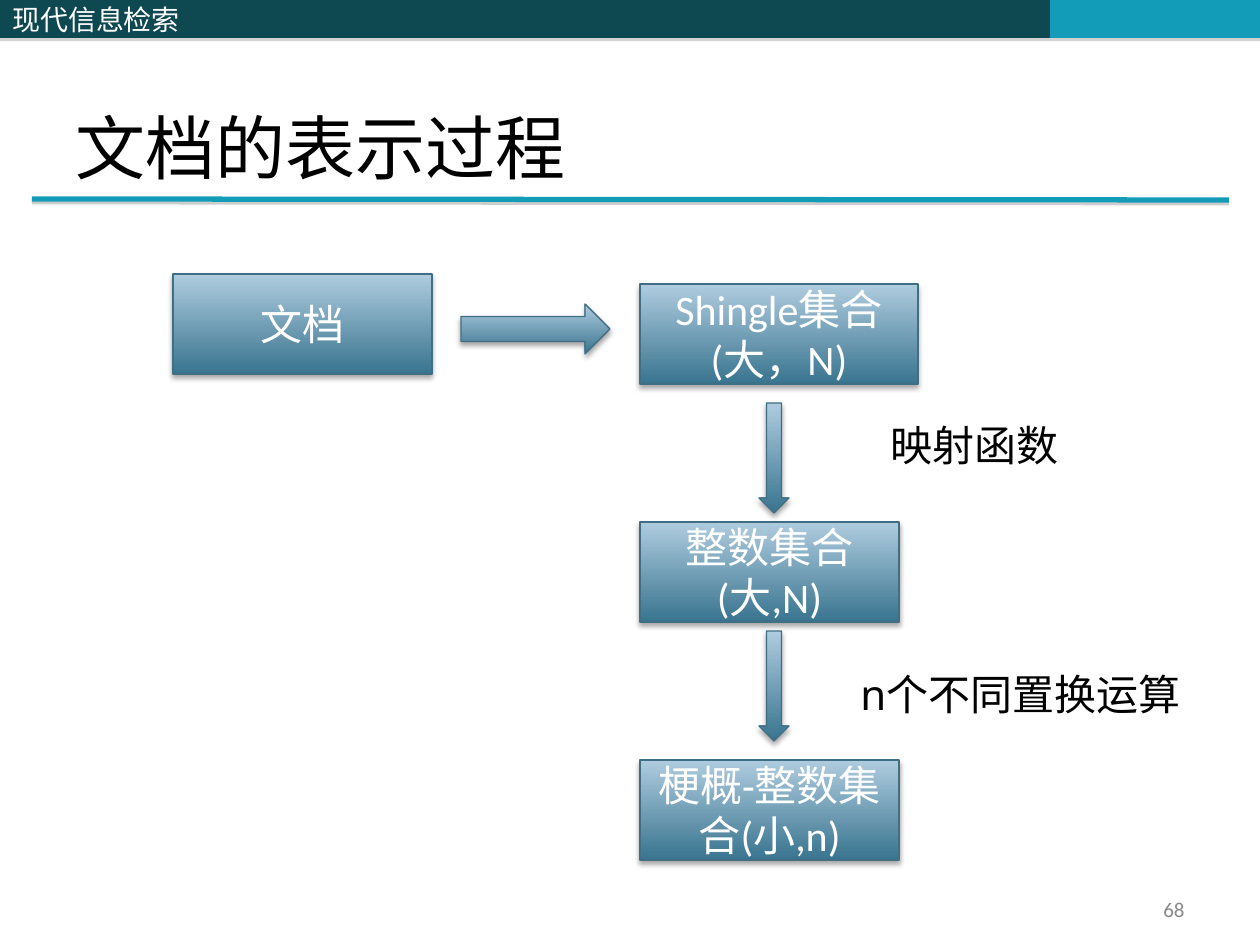
from dataclasses import dataclass

from lxml.etree import SubElement
from pptx import Presentation
from pptx.dml.color import RGBColor
from pptx.enum.shapes import MSO_CONNECTOR, MSO_SHAPE
from pptx.enum.text import MSO_ANCHOR, MSO_AUTO_SIZE, PP_ALIGN
from pptx.oxml.ns import qn
from pptx.util import Emu, Pt

SCALE = 914400 / 126
DARK, TEAL, WHITE, BLACK = "0E4851", "139CB7", "FFFFFF", "000000"
EDGE, GRADIENT = "406E84", ("39748F", "AFCCDF")


@dataclass(frozen=True)
class Area:
    left: int
    top: int
    width: int
    height: int


@dataclass(frozen=True)
class Style:
    font: str
    size: int
    color: str
    align: PP_ALIGN = PP_ALIGN.LEFT
    anchor: MSO_ANCHOR = MSO_ANCHOR.MIDDLE


@dataclass(frozen=True)
class Block:
    kind: MSO_SHAPE
    area: Area
    text: str = ""


@dataclass(frozen=True)
class Label:
    area: Area
    text: str
    style: Style


@dataclass(frozen=True)
class Shadow:
    color: str
    alpha: int
    blur: float
    distance: float


BAR_SHADOW = Shadow("808080", 35, 0, 1.8)
RULE_SHADOW = Shadow("808080", 38, 0, 1.6)
BLOCK_SHADOW = Shadow("000000", 35, 3.1, 1.8)

BLOCK_STYLE = Style("Calibri", 24, WHITE, PP_ALIGN.CENTER)
LABEL_STYLE = Style("Noto Sans", 24, BLACK, anchor=MSO_ANCHOR.TOP)
HEADER_STYLE = Style("Noto Sans CJK SC", 16, WHITE)
TITLE_STYLE = Style("Times New Roman", 40, BLACK, anchor=MSO_ANCHOR.BOTTOM)
NUMBER_STYLE = Style("Calibri", 12, "898989", PP_ALIGN.RIGHT)

BARS = (
    Block(MSO_SHAPE.RECTANGLE, Area(514, 0, 536, 38)),
    Block(MSO_SHAPE.RECTANGLE, Area(1050, 0, 210, 38)),
    Block(MSO_SHAPE.RECTANGLE, Area(0, 0, 514, 38), "现代信息检索"),
)
BAR_COLORS = (DARK, TEAL, DARK)

BLOCKS = (
    Block(MSO_SHAPE.RECTANGLE, Area(173, 274, 259, 100), "文档"),
    Block(MSO_SHAPE.RECTANGLE, Area(640, 284, 278, 100), "Shingle集合(大，N)"),
    Block(MSO_SHAPE.RIGHT_ARROW, Area(461, 304, 149, 50)),
    Block(MSO_SHAPE.RECTANGLE, Area(640, 522, 259, 100), "整数集合(大,N)"),
    Block(MSO_SHAPE.DOWN_ARROW, Area(759, 403, 30, 110)),
    Block(MSO_SHAPE.RECTANGLE, Area(640, 760, 259, 100), "梗概-整数集合(小,n)"),
    Block(MSO_SHAPE.DOWN_ARROW, Area(759, 631, 30, 110)),
)

LABELS = (
    Label(Area(903, 892, 294, 34), "68", NUMBER_STYLE),
    Label(Area(848, 662, 348, 63), "n个不同置换运算", LABEL_STYLE),
    Label(Area(878, 413, 278, 63), "映射函数", LABEL_STYLE),
)


def px(value: int) -> Emu:
    """Turn pixels into EMU."""
    return Emu(round(value * SCALE))


def place(area: Area) -> tuple[Emu, Emu, Emu, Emu]:
    """Give an area as left, top, width and height in EMU."""
    return px(area.left), px(area.top), px(area.width), px(area.height)


def rgb(color: str) -> RGBColor:
    """Turn a hex string into a colour."""
    return RGBColor.from_string(color)


def write(frame, text: str, style: Style) -> None:
    """Write one styled run into a text frame."""
    frame.word_wrap = True
    frame.auto_size = MSO_AUTO_SIZE.NONE
    frame.vertical_anchor = style.anchor
    para = frame.paragraphs[0]
    para.alignment = style.align
    span = para.add_run()
    span.text = text
    span.font.name = style.font
    span.font.size = Pt(style.size)
    span.font.color.rgb = rgb(style.color)


def cast_shadow(shape, shadow: Shadow) -> None:
    """Give a shape or connector a shadow falling straight down."""
    effects = SubElement(shape._element.spPr, qn("a:effectLst"))
    outer = SubElement(
        effects,
        qn("a:outerShdw"),
        blurRad=str(Pt(shadow.blur)),
        dist=str(Pt(shadow.distance)),
        dir="5400000",
        rotWithShape="0",
    )
    color = SubElement(outer, qn("a:srgbClr"), val=shadow.color)
    SubElement(color, qn("a:alpha"), val=str(shadow.alpha * 1000))


def draw_bar(page, bar: Block, color: str) -> None:
    """Draw one part of the header band."""
    shape = page.shapes.add_shape(bar.kind, *place(bar.area))
    shape.fill.solid()
    shape.fill.fore_color.rgb = rgb(color)
    shape.line.fill.background()
    cast_shadow(shape, BAR_SHADOW)
    if bar.text:
        write(shape.text_frame, bar.text, HEADER_STYLE)


def draw_block(page, block: Block) -> None:
    """Draw one gradient box or arrow of the flow."""
    shape = page.shapes.add_shape(block.kind, *place(block.area))
    shape.fill.gradient()
    shape.fill.gradient_angle = 90
    for stop, color, position in zip(shape.fill.gradient_stops, GRADIENT, (0, 1)):
        stop.color.rgb = rgb(color)
        stop.position = position
    shape.line.color.rgb = rgb(EDGE)
    shape.line.width = Pt(0.75)
    cast_shadow(shape, BLOCK_SHADOW)
    if block.text:
        write(shape.text_frame, block.text, BLOCK_STYLE)


def draw_label(page, label: Label) -> None:
    """Draw one plain text box."""
    box = page.shapes.add_textbox(*place(label.area))
    write(box.text_frame, label.text, label.style)


def draw_rule(page) -> None:
    """Draw the line under the title."""
    rule = page.shapes.add_connector(
        MSO_CONNECTOR.STRAIGHT, px(32), px(199), px(1229), px(200)
    )
    rule.line.color.rgb = rgb(TEAL)
    rule.line.width = Pt(3)
    cast_shadow(rule, RULE_SHADOW)


def main() -> None:
    """Build the slide and save it."""
    deck = Presentation()
    deck.slide_width, deck.slide_height = px(1260), px(945)
    page = deck.slides.add_slide(deck.slide_layouts[5])
    title = page.shapes.title
    title.left, title.top, title.width, title.height = place(Area(63, 38, 1134, 157))
    write(title.text_frame, "文档的表示过程", TITLE_STYLE)
    for bar, color in zip(BARS, BAR_COLORS):
        draw_bar(page, bar, color)
    draw_rule(page)
    for block in BLOCKS:
        draw_block(page, block)
    for label in LABELS:
        draw_label(page, label)
    deck.save("out.pptx")


if __name__ == "__main__":
    main()
